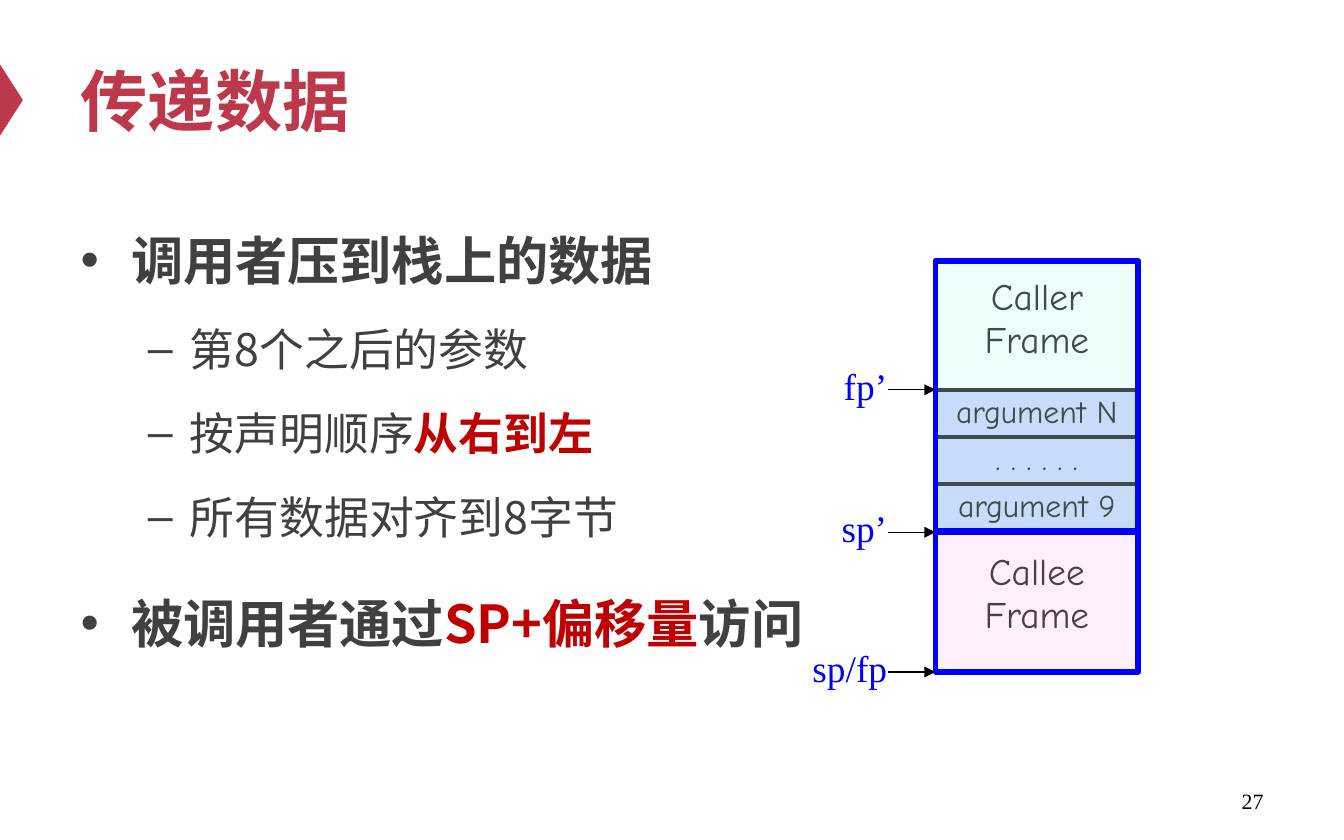
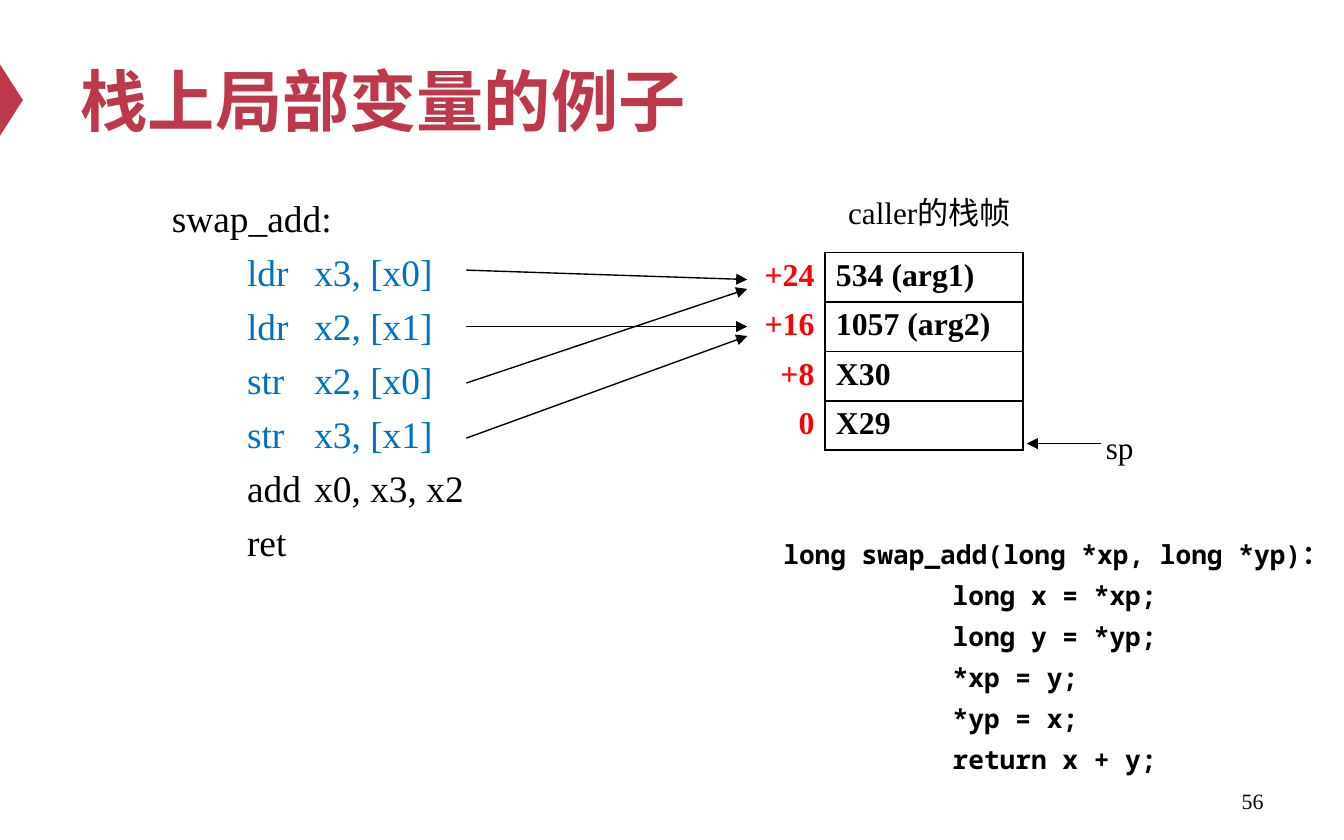
from dataclasses import dataclass

import lxml.etree
import pptx
import pptx.dml.color
import pptx.enum.shapes
import pptx.enum.text
import pptx.oxml
import pptx.oxml.ns
import pptx.util

SCALE = 9144
SANS = "Noto Sans CJK SC"
MONO = "Noto Sans Mono"
SERIF = "Times New Roman"
COMIC = "Comic Neue"
RED = "BE384B"
GRAY = "404040"
DEEP = "C00000"
BLACK = "000000"
BLUE = "0000FF"
SKY = "0070C0"
ALIGN = pptx.enum.text.PP_ALIGN
SHAPE = pptx.enum.shapes.MSO_SHAPE
MID = pptx.enum.text.MSO_ANCHOR.MIDDLE


@dataclass(frozen=True)
class Box:
    left: int
    top: int
    width: int
    height: int


@dataclass(frozen=True)
class Run:
    text: str
    size: float
    color: str = BLACK
    font: str = SERIF
    bold: bool = False


@dataclass(frozen=True)
class Para:
    runs: tuple[Run, ...]
    align: ALIGN = ALIGN.LEFT
    before: float | None = None
    line: float | pptx.util.Length | None = None
    level: int = 0
    indent: int = 0
    tab: int = 0


@dataclass(frozen=True)
class Cell:
    para: Para
    edges: str = "LRTB"
    fill: str | None = None
    top: int = 4


@dataclass(frozen=True)
class Arrow:
    start: tuple[int, int]
    end: tuple[int, int]


@dataclass(frozen=True)
class Frame:
    name: str
    box: Box
    fill: str
    pad: int


def px(num: int) -> pptx.util.Emu:
    return pptx.util.Emu(num * SCALE)


def rgb(code: str) -> pptx.dml.color.RGBColor:
    return pptx.dml.color.RGBColor.from_string(code)


def area(box: Box) -> tuple:
    return px(box.left), px(box.top), px(box.width), px(box.height)


def place(shape, box: Box) -> None:
    shape.left, shape.top, shape.width, shape.height = area(box)


def node(host, tag: str, **attrs: str):
    return lxml.etree.SubElement(host, pptx.oxml.ns.qn(tag), attrs)


def add_run(para, run: Run) -> None:
    if run.text == "\n":
        para.add_line_break()
        return
    item = para.add_run()
    item.text = run.text
    item.font.size = pptx.util.Pt(run.size)
    item.font.bold = run.bold
    item.font.color.rgb = rgb(run.color)
    item.font.name = run.font
    node(item._r.get_or_add_rPr(), "a:ea", typeface=SANS)


def write(frame, paras: list[Para]) -> None:
    for num, para in enumerate(paras):
        item = frame.add_paragraph() if num else frame.paragraphs[0]
        item.alignment = para.align
        item.level = para.level
        if para.before is not None:
            item.space_before = pptx.util.Pt(para.before)
        if para.line is not None:
            item.line_spacing = para.line
        props = item._p.get_or_add_pPr()
        if para.indent:
            props.set("marL", str(px(para.indent)))
            props.set("indent", "0")
        if para.tab:
            stops = node(props, "a:tabLst")
            node(stops, "a:tab", pos=str(px(para.tab)), algn="l")
        for run in para.runs:
            add_run(item, run)


def add_text(slide, box: Box, paras: list[Para], anchor=None) -> None:
    frame = slide.shapes.add_textbox(*area(box)).text_frame
    frame.word_wrap = True
    if anchor is not None:
        frame.vertical_anchor = anchor
    write(frame, paras)


def add_arrow(slide, arrow: Arrow) -> None:
    kind = pptx.enum.shapes.MSO_CONNECTOR.STRAIGHT
    ends = [px(num) for num in (*arrow.start, *arrow.end)]
    line = slide.shapes.add_connector(kind, *ends)
    line.line.color.rgb = rgb(BLACK)
    line.line.width = pptx.util.Pt(0.75)
    node(line.line._get_or_add_ln(), "a:tailEnd", type="triangle")
    node(line._element.spPr, "a:effectLst")


def add_shape(slide, kind, box: Box, fill: str):
    shape = slide.shapes.add_shape(kind, *area(box))
    shape.shadow.inherit = False
    shape.fill.solid()
    shape.fill.fore_color.rgb = rgb(fill)
    shape.line.fill.background()
    return shape


def add_edges(cell, edges: str, width: float) -> None:
    props = cell._tc.get_or_add_tcPr()
    for side in "LRTB":
        if side in edges:
            line = node(props, f"a:ln{side}", w=str(pptx.util.Pt(width)))
            node(node(line, "a:solidFill"), "a:srgbClr", val=BLACK)
        else:
            line = node(props, f"a:ln{side}", w="0")
            node(line, "a:noFill")


def add_table(slide, box: Box, cols: list[int], rows: list[list[Cell]], width: float) -> None:
    table = slide.shapes.add_table(len(rows), len(cols), *area(box)).table
    table.first_row = table.horz_banding = False
    for col, size in zip(table.columns, cols):
        col.width = px(size)
    for y, row in enumerate(rows):
        for x, data in enumerate(row):
            cell = table.cell(y, x)
            cell.margin_left = cell.margin_right = px(8)
            cell.margin_top, cell.margin_bottom = px(data.top), px(4)
            add_edges(cell, data.edges, width)
            if data.fill:
                cell.fill.solid()
                cell.fill.fore_color.rgb = rgb(data.fill)
            else:
                cell.fill.background()
            write(cell.text_frame, [data.para])


def add_slide(deck, layout: int, title: str, page: str):
    slide = deck.slides.add_slide(deck.slide_layouts[layout])
    add_shape(slide, SHAPE.ISOSCELES_TRIANGLE, Box(-18, 66, 53, 17), RED).rotation = 90
    head = slide.shapes.title
    place(head, Box(50, 25, 900, 98))
    head.text_frame.vertical_anchor = MID
    head.text_frame.auto_size = pptx.enum.text.MSO_AUTO_SIZE.NONE
    write(head.text_frame, [Para((Run(title, 36, RED, SANS, True),))])
    mark = Para((Run(page, 11.7),), ALIGN.RIGHT)
    add_text(slide, Box(717, 579, 233, 33), [mark], MID)
    return slide


def point(*parts: tuple[str, str]) -> Para:
    runs = tuple(Run(text, 28, color, SANS, True) for text, color in parts)
    return Para(runs, before=12, line=1.4)


def sub(text: str, key: str = "") -> Para:
    runs = [Run(text, 24, GRAY, SANS)]
    if key:
        runs.append(Run(key, 24, DEEP, SANS, True))
    return Para(tuple(runs), line=1.4, level=1)


def pass_data(deck) -> None:
    slide = add_slide(deck, 1, "传递数据", "27")
    body = slide.placeholders[1]
    place(body, Box(50, 146, 900, 412))
    body.text_frame.auto_size = pptx.enum.text.MSO_AUTO_SIZE.NONE
    write(body.text_frame, [
        point(("调用者压到栈上的数据", GRAY)),
        sub("第8个之后的参数"),
        sub("按声明顺序", "从右到左"),
        sub("所有数据对齐到8字节"),
        point(("被调用者通过", GRAY), ("SP+偏移量", DEEP), ("访问", GRAY)),
    ])

    left, width = 696, 151
    for num, text in enumerate(("argument N", ". . . . . .", "argument 9")):
        para = Para((Run(text, 17, font=COMIC),), ALIGN.CENTER)
        box = Box(left, 290 + 35 * num, width, 36)
        add_table(slide, box, [width], [[Cell(para, fill="CCCCFF")]], 2.25)

    frames = (
        Frame("Caller", Box(left, 194, width, 201), "C2FFF0", 12),
        Frame("Callee", Box(left, 396, width, 104), "FFCCFF", 15),
    )
    for frame in frames:
        runs = tuple(Run(text, 20, font=COMIC) for text in (frame.name, "\n", "Frame"))
        height = min(frame.box.height, 166)
        cell = Cell(Para(runs, ALIGN.CENTER), top=frame.pad)
        add_table(slide, Box(left, frame.box.top, width, height), [width], [[cell]], 2.25)
    for frame in frames:
        rect = add_shape(slide, SHAPE.RECTANGLE, frame.box, frame.fill)
        rect.line.color.rgb = rgb(BLUE)
        rect.line.width = pptx.util.Pt(3)
        tint = rect._element.spPr.find(".//" + pptx.oxml.ns.qn("a:srgbClr"))
        node(tint, "a:alpha", val="30000")

    for name, y in (("fp’", 290), ("sp’", 396), ("sp/fp", 500)):
        label = Para((Run(name, 20, BLUE),), ALIGN.RIGHT)
        add_text(slide, Box(580, y - 25, 90, 44), [label])
        add_arrow(slide, Arrow((661, y), (left, y)))


def show_stack(deck) -> None:
    slide = add_slide(deck, 5, "栈上局部变量的例子", "56")
    lines = (
        ("ldr\tx3, [x0]", SKY), ("ldr\tx2, [x1]", SKY),
        ("str\tx2, [x0]", SKY), ("str\tx3, [x1]", SKY),
        ("add\tx0, x3, x2", BLACK), ("ret", BLACK),
    )
    code = [Para((Run("swap_add:", 20),), before=5)]
    code += [Para((Run(text, 20, color),), before=5, indent=56, tab=119)
             for text, color in lines]
    add_text(slide, Box(118, 140, 479, 286), code)

    cells = (("+24", "534 (arg1)"), ("+16", "1057 (arg2)"), ("+8", "X30"), ("0", "X29"))
    rows = [[Cell(Para((Run(place, 17, "FF0000", bold=True),), ALIGN.RIGHT), "R"),
             Cell(Para((Run(value, 17, bold=True),)))] for place, value in cells]
    add_table(slide, Box(528, 188, 233, 147), [86, 147], rows, 1)

    add_text(slide, Box(813, 314, 60, 38), [Para((Run("sp", 16.7),))])
    add_arrow(slide, Arrow((819, 330), (764, 330)))
    for start, end in ((201, 208), (285, 215), (243, 243), (326, 250)):
        add_arrow(slide, Arrow((347, start), (556, end)))
    note = Para((Run("caller的栈帧", 16.7),), ALIGN.CENTER)
    add_text(slide, Box(569, 139, 245, 38), [note])

    source = ("long swap_add(long *xp, long *yp)：", "long x = *xp;", "long y = *yp;",
              "*xp = y;", "*yp = x;", "return x + y;")
    paras = [Para((Run(text, 14, font=MONO, bold=True),), before=12,
                  line=pptx.util.Pt(10), indent=138 if num else 12)
             for num, text in enumerate(source)]
    add_text(slide, Box(561, 405, 461, 238), paras)


def main() -> None:
    deck = pptx.Presentation()
    deck.slide_width, deck.slide_height = px(1000), px(625)
    pass_data(deck)
    show_stack(deck)
    deck.save("out.pptx")


if __name__ == "__main__":
    main()
